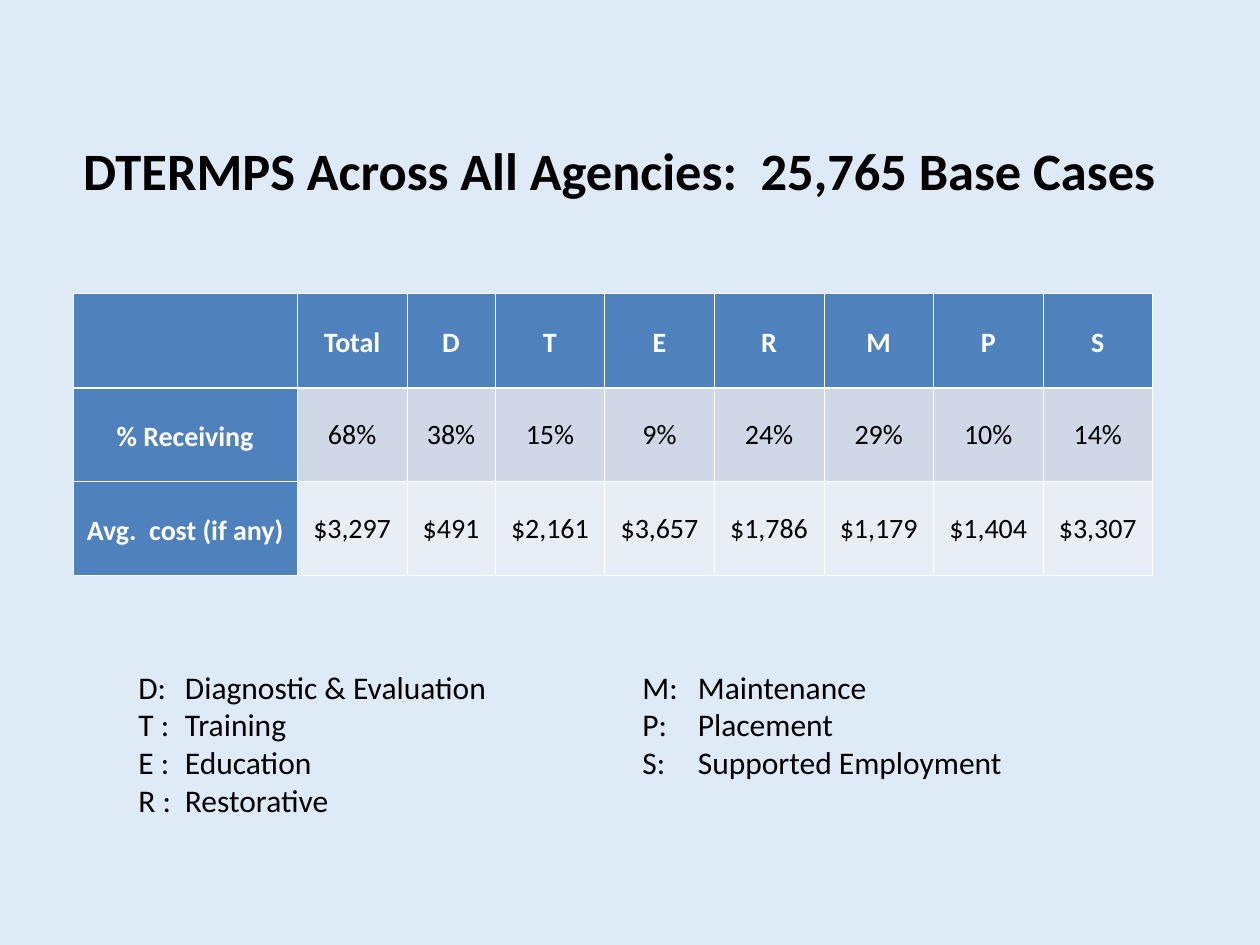
"""Build the slide on services and costs across all agencies."""
import pptx
import pptx.dml.color
import pptx.enum.text
import pptx.oxml
import pptx.oxml.ns
import pptx.util
from pptx.util import Inches

INK, WHITE, HEADING_BLUE = "000000", "FFFFFF", "4F81BD"
BACKGROUND = "DFEAF7"
BODY_FILLS = ["D0D8E8", "E9EDF4"]
CENTER = pptx.enum.text.PP_ALIGN.CENTER
MIDDLE = pptx.enum.text.MSO_ANCHOR.MIDDLE
FIXED = pptx.enum.text.MSO_AUTO_SIZE.NONE
GROW = pptx.enum.text.MSO_AUTO_SIZE.SHAPE_TO_FIT_TEXT

SERVICES = [
    ["", "Total", "D", "T", "E", "R", "M", "P", "S"],
    ["% Receiving", "68%", "38%", "15%", "9%", "24%", "29%", "10%", "14%"],
    ["Avg.  cost (if any)", "$3,297", "$491", "$2,161", "$3,657", "$1,786",
     "$1,179", "$1,404", "$3,307"],
]
COLUMN_WIDTHS = [1.78, 0.87, 0.7] + [0.87] * 6
ROW_HEIGHTS = [0.75, 0.74, 0.75]
LEGENDS = [
    ((1, 5.25, 3.83, 1.3), 0.37,
     ["D:\tDiagnostic & Evaluation", "T :\tTraining", "E :\tEducation", "R :\tRestorative"]),
    ((5, 5.25, 4.25, 1), 0.44,
     ["M:\tMaintenance", "P:\tPlacement", "S:\tSupported Employment"]),
]


def color(value):
    """Turn a hex string into a colour."""
    return pptx.dml.color.RGBColor.from_string(value)


def apply(target, values):
    """Set each attribute named in values on target."""
    for attribute, value in values.items():
        setattr(target, attribute, value)


def fill(part, value):
    """Fill a part with one solid colour."""
    part.fill.solid()
    part.fill.fore_color.rgb = color(value)


def write(paragraph, words, size, ink=INK, bold=False):
    """Write words into a paragraph as one formatted run."""
    run = paragraph.add_run()
    run.text = words
    apply(run.font, {"name": "Calibri", "size": pptx.util.Pt(size), "bold": bold})
    run.font.color.rgb = color(ink)


def add_title(slide, words):
    """Place and write the slide title."""
    title = slide.shapes.title
    apply(title, {"left": Inches(0.42), "top": Inches(0.83),
                  "width": Inches(9), "height": Inches(1.03)})
    apply(title.text_frame, {"auto_size": FIXED, "word_wrap": True,
                             "vertical_anchor": MIDDLE})
    paragraph = title.text_frame.paragraphs[0]
    paragraph.alignment = CENTER
    write(paragraph, words, 30, bold=True)


def add_borders(cell, widths):
    """Draw white borders; widths maps the sides L, R, T, B to points."""
    properties = cell._tc.get_or_add_tcPr()
    for side, width in widths.items():
        properties.append(pptx.oxml.parse_xml(
            f'<a:ln{side} {pptx.oxml.ns.nsdecls("a")} w="{int(pptx.util.Pt(width))}">'
            f'<a:solidFill><a:srgbClr val="{WHITE}"/></a:solidFill></a:ln{side}>'))


def format_cell(cell, words, row, column):
    """Format and write one cell as a heading or a value."""
    heading = row == 0 or column == 0
    add_borders(cell, {"L": 0.45, "R": 0.45, "T": 1.47 if row == 1 else 0.45,
                       "B": 1.47 if row == 0 else 0.45})
    fill(cell, HEADING_BLUE if heading else BODY_FILLS[row - 1])
    side = Inches(0.08 if heading else 0.1)
    apply(cell, {"vertical_anchor": MIDDLE, "margin_left": side, "margin_right": side,
                 "margin_top": Inches(0.05), "margin_bottom": Inches(0.05)})
    paragraph = cell.text_frame.paragraphs[0]
    apply(paragraph, {"alignment": CENTER, "line_spacing": 1.15 if heading else 1.0})
    if words:
        write(paragraph, words, 16, WHITE if heading else INK, heading)


def add_services_table(slide):
    """Add the table of services received and their average cost."""
    table = slide.shapes.add_table(
        len(SERVICES), len(COLUMN_WIDTHS), Inches(0.58), Inches(2.33),
        Inches(sum(COLUMN_WIDTHS)), Inches(sum(ROW_HEIGHTS))).table
    for column, width in zip(table.columns, COLUMN_WIDTHS):
        column.width = Inches(width)
    for row, height in zip(table.rows, ROW_HEIGHTS):
        row.height = Inches(height)
    for row, entries in enumerate(SERVICES):
        for column, words in enumerate(entries):
            format_cell(table.cell(row, column), words, row, column)


def add_legend(slide, place, tab, entries):
    """Add a list of service letters with their meanings at a tab stop."""
    legend = slide.shapes.add_textbox(*map(Inches, place)).text_frame
    apply(legend, {"word_wrap": True, "auto_size": GROW})
    for index, words in enumerate(entries):
        paragraph = legend.add_paragraph() if index else legend.paragraphs[0]
        paragraph._p.get_or_add_pPr().append(pptx.oxml.parse_xml(
            f'<a:tabLst {pptx.oxml.ns.nsdecls("a")}>'
            f'<a:tab pos="{int(Inches(tab))}" algn="l"/></a:tabLst>'))
        write(paragraph, words, 18)


def main():
    """Build and save the slide."""
    deck = pptx.Presentation()
    apply(deck, {"slide_width": Inches(10), "slide_height": Inches(7.5)})
    slide = deck.slides.add_slide(deck.slide_layouts.get_by_name("Title Only"))
    fill(slide.background, BACKGROUND)
    add_title(slide, "DTERMPS Across All Agencies:  25,765 Base Cases")
    add_services_table(slide)
    for place, tab, entries in LEGENDS:
        add_legend(slide, place, tab, entries)
    deck.save("out.pptx")


if __name__ == "__main__":
    main()
